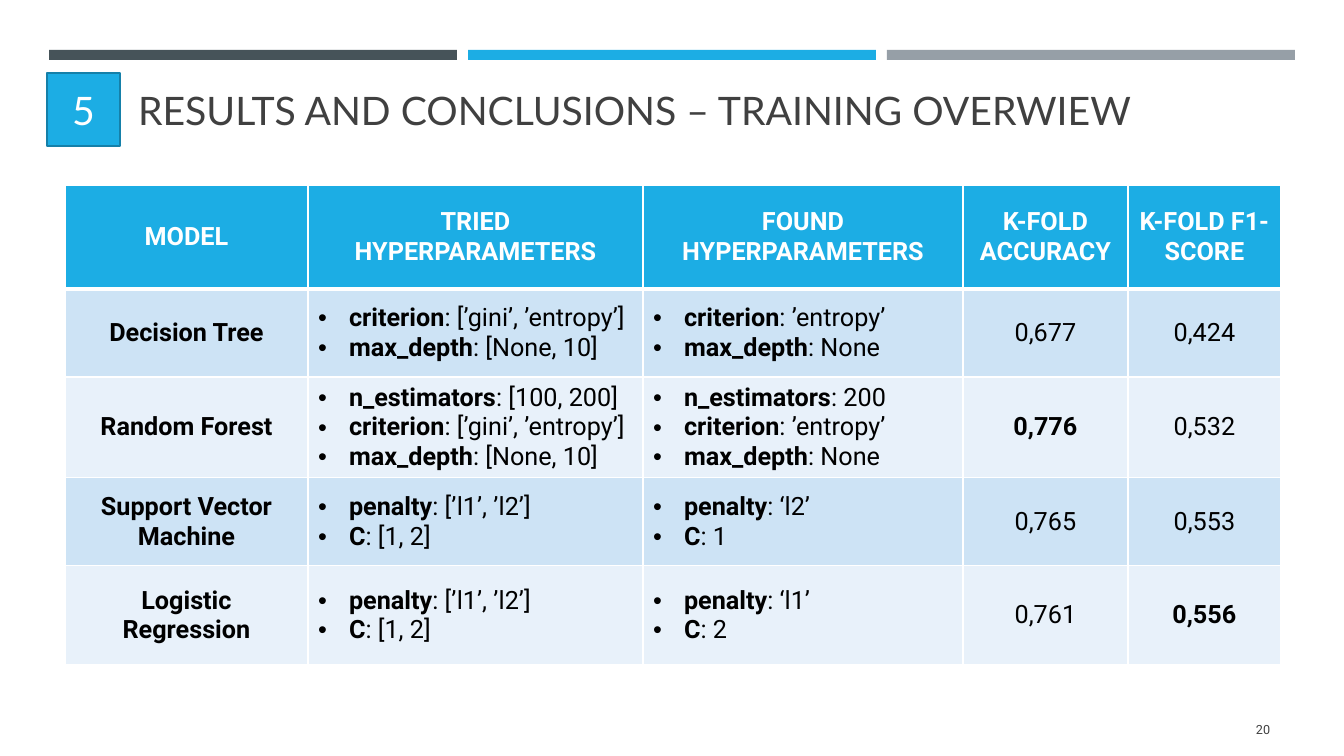
import typing

import lxml.etree
import pptx
import pptx.dml.color
import pptx.enum.shapes
import pptx.enum.text
import pptx.oxml.ns
import pptx.util

ALIGN = pptx.enum.text.PP_ALIGN
ANCHOR = pptx.enum.text.MSO_ANCHOR

EMU_PER_PX = 914400 / 100.8
BLUE, WHITE, BLACK, GREY = "1CADE4", "FFFFFF", "000000", "404040"
BAND_FILLS = ("CDE3F5", "E8F1FA")
BAR_COLORS = ("465359", BLUE, "969FA7")
BAR_LEFT, BAR_TOP, BAR_WIDTH, BAR_HEIGHT, BAR_STEP = 49, 50, 408, 10, 419
COLUMN_WIDTHS = (243, 335, 320, 165, 153)
ROW_HEIGHTS = (104, 88, 88, 88, 99)
BULLET_INDENT = 31
HEADERS = (
    ("MODEL",),
    ("TRIED", "HYPERPARAMETERS"),
    ("FOUND HYPERPARAMETERS",),
    ("K-FOLD ACCURACY",),
    ("K-FOLD F1-SCORE",),
)


class ModelResult(typing.NamedTuple):
    name: str
    tried: tuple[str, ...]
    found: tuple[str, ...]
    accuracy: str
    f1_score: str


RESULTS = (
    ModelResult("Decision Tree",
                ("criterion: [’gini’, ’entropy’]", "max_depth: [None, 10]"),
                ("criterion: ’entropy’", "max_depth: None"), "0,677", "0,424"),
    ModelResult("Random Forest",
                ("n_estimators: [100, 200]", "criterion: [’gini’, ’entropy’]", "max_depth: [None, 10]"),
                ("n_estimators: 200", "criterion: ’entropy’", "max_depth: None"), "0,776", "0,532"),
    ModelResult("Support Vector Machine",
                ("penalty: [’l1’, ’l2’]", "C: [1, 2]"),
                ("penalty: ‘l2’", "C: 1"), "0,765", "0,553"),
    ModelResult("Logistic Regression",
                ("penalty: [’l1’, ’l2’]", "C: [1, 2]"),
                ("penalty: ‘l1’", "C: 2"), "0,761", "0,556"),
)


def px(length: int) -> pptx.util.Emu:
    return pptx.util.Emu(round(length * EMU_PER_PX))


def box(left: int, top: int, width: int, height: int) -> tuple[pptx.util.Emu, ...]:
    return px(left), px(top), px(width), px(height)


def rgb(color: str) -> pptx.dml.color.RGBColor:
    return pptx.dml.color.RGBColor.from_string(color)


def add_bullet(paragraph) -> None:
    properties = paragraph._p.get_or_add_pPr()
    properties.set("marL", str(px(BULLET_INDENT)))
    properties.set("indent", str(-px(BULLET_INDENT)))
    for tag, name, value in (("a:buFont", "typeface", "Arial"), ("a:buChar", "char", "•")):
        element = lxml.etree.SubElement(properties, pptx.oxml.ns.qn(tag))
        element.set(name, value)


def write_text(text_frame, lines: typing.Sequence[str], *, size: int = 18, font: str = "Roboto",
               color: str = BLACK, bold: bool = False, align: ALIGN = ALIGN.CENTER,
               bulleted: bool = False) -> None:
    """Write one paragraph per line; a bulleted line is bold up to its colon."""
    for index, line in enumerate(lines):
        paragraph = text_frame.add_paragraph() if index else text_frame.paragraphs[0]
        paragraph.alignment = align
        runs = [(line, bold)]
        if bulleted:
            add_bullet(paragraph)
            name, colon, value = line.partition(":")
            runs = [(name, True), (colon + value, False)]
        for text, is_bold in runs:
            run = paragraph.add_run()
            run.text = text
            run.font.name = font
            run.font.size = pptx.util.Pt(size)
            run.font.bold = is_bold
            run.font.color.rgb = rgb(color)


def add_rectangle(slide, left: int, top: int, width: int, height: int, fill: str):
    """Add a filled rectangle without outline or shadow."""
    shape = slide.shapes.add_shape(pptx.enum.shapes.MSO_SHAPE.RECTANGLE, *box(left, top, width, height))
    shape.shadow.inherit = False
    shape.fill.solid()
    shape.fill.fore_color.rgb = rgb(fill)
    shape.line.fill.background()
    return shape


def add_title(slide) -> None:
    title = slide.shapes.title
    title.left, title.top, title.width, title.height = box(128, 7, 1216, 131)
    title.text_frame.auto_size = pptx.enum.text.MSO_AUTO_SIZE.NONE
    title.text_frame.vertical_anchor = ANCHOR.BOTTOM
    write_text(title.text_frame, ["RESULTS AND CONCLUSIONS – TRAINING OVERWIEW"],
               size=28, font="Lato", color=GREY, align=ALIGN.LEFT)


def add_section_badge(slide) -> None:
    badge = add_rectangle(slide, 47, 73, 73, 73, BLUE)
    badge.line.color.rgb = rgb("1580A9")
    badge.line.width = pptx.util.Pt(1.75)
    badge.text_frame.vertical_anchor = ANCHOR.MIDDLE
    write_text(badge.text_frame, ["5"], size=28, font="Lato", color=WHITE)


def add_page_number(slide) -> None:
    text_frame = slide.shapes.add_textbox(*box(1164, 709, 116, 40)).text_frame
    text_frame.word_wrap = True
    text_frame.vertical_anchor = ANCHOR.MIDDLE
    write_text(text_frame, ["20"], size=9, color=GREY, align=ALIGN.RIGHT)


def format_cell(cell, fill: str, top: int = 1, bottom: int = 1) -> None:
    """Set white borders (top and bottom widths in points), fill and anchor."""
    properties = cell._tc.get_or_add_tcPr()
    for side, width in (("L", 1), ("R", 1), ("T", top), ("B", bottom)):
        border = lxml.etree.SubElement(properties, pptx.oxml.ns.qn(f"a:ln{side}"))
        border.set("w", str(pptx.util.Pt(width)))
        solid = lxml.etree.SubElement(border, pptx.oxml.ns.qn("a:solidFill"))
        lxml.etree.SubElement(solid, pptx.oxml.ns.qn("a:srgbClr")).set("val", WHITE)
    cell.fill.solid()
    cell.fill.fore_color.rgb = rgb(fill)
    cell.vertical_anchor = ANCHOR.MIDDLE


def add_results_table(slide) -> None:
    table = slide.shapes.add_table(
        len(ROW_HEIGHTS), len(COLUMN_WIDTHS),
        *box(65, 185, sum(COLUMN_WIDTHS), sum(ROW_HEIGHTS))).table
    for column, width in zip(table.columns, COLUMN_WIDTHS):
        column.width = px(width)
    for row, height in zip(table.rows, ROW_HEIGHTS):
        row.height = px(height)

    for cell, lines in zip(table.rows[0].cells, HEADERS):
        format_cell(cell, BLUE, bottom=3)
        write_text(cell.text_frame, lines, color=WHITE, bold=True)

    best_accuracy = max(result.accuracy for result in RESULTS)
    best_f1_score = max(result.f1_score for result in RESULTS)
    for index, result in enumerate(RESULTS):
        cells = list(table.rows[index + 1].cells)
        for cell in cells:
            format_cell(cell, BAND_FILLS[index % 2], top=1 if index else 3)
        name, tried, found, accuracy, f1_score = (cell.text_frame for cell in cells)
        write_text(name, [result.name], bold=True)
        write_text(tried, result.tried, align=ALIGN.LEFT, bulleted=True)
        write_text(found, result.found, align=ALIGN.LEFT, bulleted=True)
        write_text(accuracy, [result.accuracy], bold=result.accuracy == best_accuracy)
        write_text(f1_score, [result.f1_score], bold=result.f1_score == best_f1_score)


def main() -> None:
    presentation = pptx.Presentation()
    presentation.slide_width, presentation.slide_height = px(1344), px(756)
    slide = presentation.slides.add_slide(presentation.slide_layouts.get_by_name("Title Only"))
    for index, color in enumerate(BAR_COLORS):
        add_rectangle(slide, BAR_LEFT + index * BAR_STEP, BAR_TOP, BAR_WIDTH, BAR_HEIGHT, color)
    add_title(slide)
    add_section_badge(slide)
    add_page_number(slide)
    add_results_table(slide)
    presentation.save("out.pptx")


if __name__ == "__main__":
    main()
